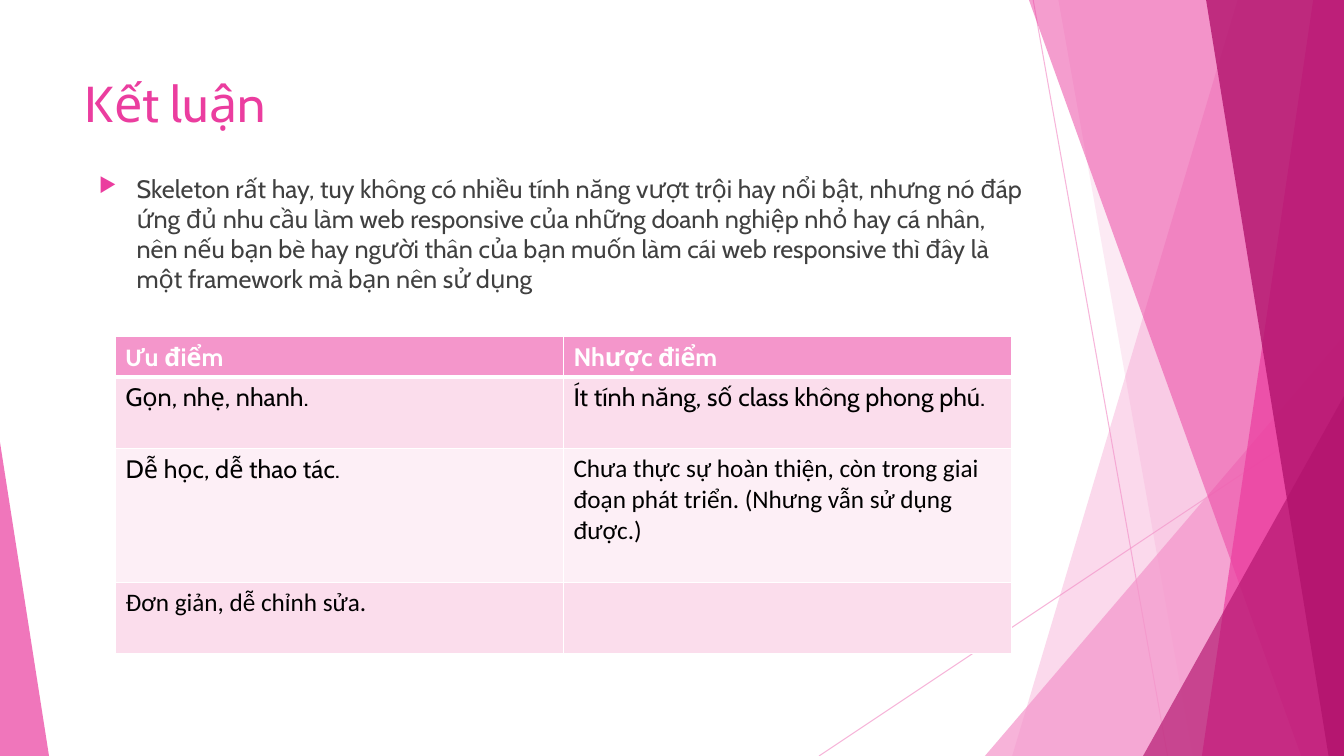
import pptx
import pptx.util
import pptx.dml.color
import pptx.enum.shapes
import pptx.enum.text
import pptx.oxml
import pptx.oxml.ns
import lxml.etree

Pt = pptx.util.Pt
RGB = pptx.dml.color.RGBColor
PINK = RGB(0xF4, 0x96, 0xCB)
ROSE = RGB(0xEB, 0x3D, 0x9F)
WINE = RGB(0xB2, 0x13, 0x6D)
PALE = RGB(0xFB, 0xDD, 0xEC)
MIST = RGB(0xFD, 0xEF, 0xF6)
GREY = RGB(0x40, 0x40, 0x40)
BLACK = RGB(0, 0, 0)
WHITE = RGB(0xFF, 0xFF, 0xFF)

BODY = ("Skeleton rất hay, tuy không có nhiều tính năng vượt trội hay nổi bật, "
        "nhưng nó đáp ứng đủ nhu cầu làm web responsive của những doanh nghiệp "
        "nhỏ hay cá nhân, nên nếu bạn bè hay người thân của bạn muốn làm cái web "
        "responsive thì đây là một framework mà bạn nên sử dụng")
ROWS = [
    (29, PINK, [[("Ư", "Calibri"), ("u điểm", "Cabin")], [("Nhược điểm", "Cabin")]]),
    (51, PALE, [[("Gọn, nhẹ, nhanh.", "Cabin")],
                [("Ít tính năng, số class không phong phú.", "Cabin")]]),
    (95.5, MIST, [[("Dễ học, dễ thao tác.", "Cabin")],
                  [("Chưa thực sự hoàn thiện, còn trong giai đoạn phát triển. "
                    "(Nhưng vẫn sử dụng được.)", "Calibri")]]),
    (51, PALE, [[("Đơn giản, dễ chỉnh sửa.", "Calibri")], []]),
]


def node(parent, tag, **attrs):
    item = lxml.etree.SubElement(parent, pptx.oxml.ns.qn("a:" + tag))
    for key, value in attrs.items():
        item.set(key, str(value))
    return item


def write(para, text, size=18, font="Cabin", color=BLACK, bold=False):
    run = para.add_run()
    run.text = text
    run.font.size = Pt(size)
    run.font.name = font
    run.font.color.rgb = color
    run.font.bold = bold


def fade(fill, alpha):
    for tint in fill.iter(pptx.oxml.ns.qn("a:srgbClr")):
        node(tint, "alpha", val=alpha * 1000)


def paint(shape, color, alpha):
    shape.shadow.inherit = False
    shape.fill.solid()
    shape.fill.fore_color.rgb = color
    shape.line.fill.background()
    fade(shape._element.spPr, alpha)


def line(slide, start, end):
    link = slide.shapes.add_connector(
        pptx.enum.shapes.MSO_CONNECTOR.STRAIGHT, *map(Pt, start + end))
    link.line.color.rgb = PINK
    link.line.width = Pt(0.75)
    fade(link._element.spPr, 70)
    node(link._element.spPr, "effectLst")


def band(slide, box, head, foot, color, alpha):
    left, top, width, height = box
    right, base = left + width, top + height
    form = slide.shapes.build_freeform(Pt(left + head), Pt(top))
    form.add_line_segments(
        [(Pt(x), Pt(y)) for x, y in ((right, top), (right, base), (left + foot, base))])
    paint(form.convert_to_shape(), color, alpha)


def wedge(slide, box, tip, color, alpha):
    shape = slide.shapes.add_shape(
        pptx.enum.shapes.MSO_SHAPE.ISOSCELES_TRIANGLE, *map(Pt, box))
    shape.adjustments[0] = tip
    paint(shape, color, alpha)


def decor(slide, box):
    left, top, width, height = box
    right, base = left + width, top + height

    def strip(head, foot, color, alpha):
        wide = max(head, foot)
        band(slide, (right - wide, top, wide, height),
             wide - head, wide - foot, color, alpha)

    def corner(wide, high, color, alpha):
        wedge(slide, (right - wide, base - high, wide, high), 1, color, alpha)

    line(slide, (right - 222, top), (right - 126, base))
    line(slide, (right, top + 290), (right - 375, base))
    strip(76, 237, PINK, 36)
    strip(204, 108, PINK, 20)
    corner(256.5, 300, PINK, 72)
    strip(225, 30.5, ROSE, 50)
    strip(22, 101.5, ROSE, 70)
    strip(98.5, 11, WINE, 80)
    corner(143.5, 257, WINE, 66)
    wedge(slide, (left, base - 224, 35, 224), 0, ROSE, 70)


def title(slide, box, text):
    head = slide.shapes.title
    head.left, head.top, head.width, head.height = map(Pt, box)
    frame = head.text_frame
    frame.word_wrap = True
    frame.auto_size = pptx.enum.text.MSO_AUTO_SIZE.NONE
    frame.vertical_anchor = pptx.enum.text.MSO_ANCHOR.TOP
    para = frame.paragraphs[0]
    para.alignment = pptx.enum.text.PP_ALIGN.LEFT
    write(para, text, size=36, color=ROSE)


def body(slide, box, text):
    frame = slide.shapes.add_textbox(*map(Pt, box)).text_frame
    frame.word_wrap = True
    para = frame.paragraphs[0]
    para.space_before = Pt(10)
    props = para._p.get_or_add_pPr()
    props.set("marL", str(Pt(27)))
    props.set("indent", str(Pt(-27)))
    node(node(props, "buClr"), "srgbClr", val=ROSE)
    node(props, "buSzPct", val=80000)
    node(props, "buChar", char="▶")
    write(para, text, color=GREY)


def edge(cell, first):
    props = cell._tc.get_or_add_tcPr()
    for side in "LRTB":
        wide = 3 if first and side == "B" else 1
        rule = node(props, "ln" + side, w=Pt(wide))
        node(node(rule, "solidFill"), "srgbClr", val=WHITE)


def table(slide, box, rows):
    grid = slide.shapes.add_table(len(rows), 2, *map(Pt, box)).table
    for r, (high, fill, cells) in enumerate(rows):
        grid.rows[r].height = Pt(high)
        for c, runs in enumerate(cells):
            cell = grid.cell(r, c)
            edge(cell, r == 0)
            cell.fill.solid()
            cell.fill.fore_color.rgb = fill
            for text, font in runs:
                write(cell.text_frame.paragraphs[0], text, font=font,
                      color=BLACK if r else WHITE, bold=r == 0)


def main():
    deck = pptx.Presentation()
    deck.slide_width, deck.slide_height = Pt(960), Pt(540)
    slide = deck.slides.add_slide(deck.slide_layouts[5])
    decor(slide, (0, 0, 960, 540))
    title(slide, (53.5, 48, 677, 104), "Kết luận")
    body(slide, (63.5, 120, 677, 305), BODY)
    table(slide, (82.5, 240.5, 640, sum(row[0] for row in ROWS)), ROWS)
    deck.save("out.pptx")


if __name__ == "__main__":
    main()
